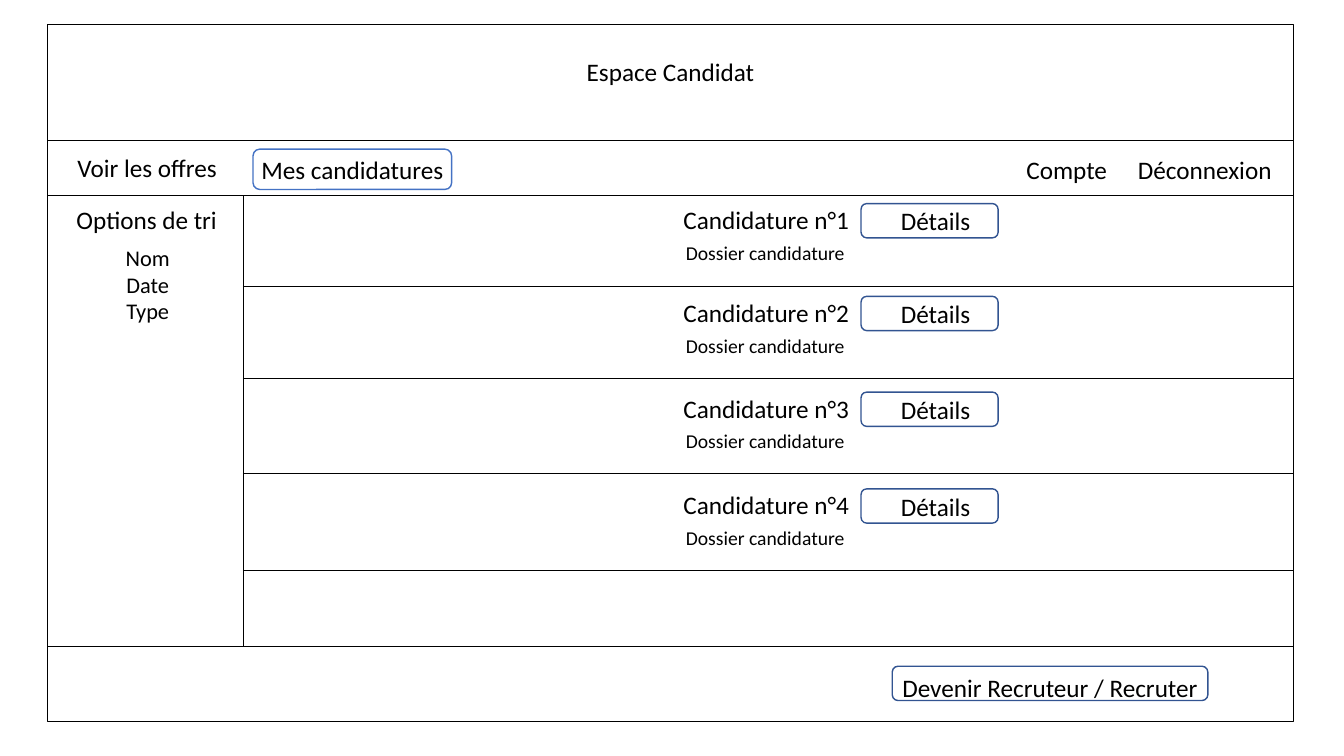
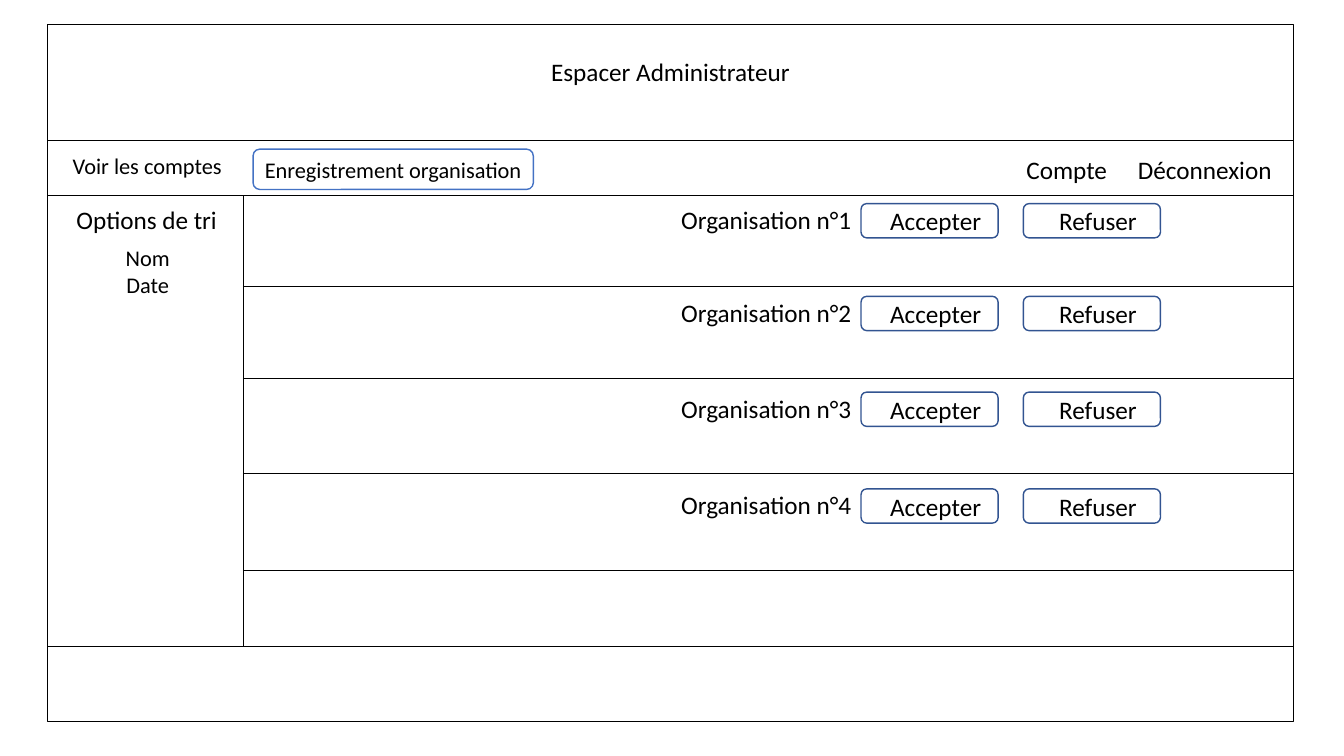
from lxml import etree
from pptx import Presentation
from pptx.dml.color import RGBColor
from pptx.enum.shapes import MSO_CONNECTOR, MSO_SHAPE
from pptx.enum.text import MSO_ANCHOR, MSO_AUTO_SIZE, PP_ALIGN
from pptx.oxml.ns import qn
from pptx.util import Inches, Pt

FONT = "Calibri"
BLACK, BLUE, NAVY = "000000", "4472C4", "325491"

# Page grid, in inches
LEFT, RIGHT, TOP, BOTTOM = 0.47, 12.83, 0.24, 7.16
MENU_Y, BODY_Y, FOOTER_Y, SIDEBAR_X = 1.39, 1.94, 6.41, 2.41
# Each row: top of its title, line that closes it
ROWS = [(1.98, 2.84), (2.9, 3.75), (3.85, 4.7), (4.81, 5.66)]
ACTION_XS = [8.54, 10.15]


def rgb(color):
    return RGBColor.from_string(color)


class Wireframe:
    def __init__(self):
        self.prs = Presentation()
        self.prs.slide_width = Inches(13.33)
        self.prs.slide_height = Inches(7.5)
        self.s = None

    def new_slide(self):
        self.s = self.prs.slides.add_slide(self.prs.slide_layouts[6])

    def fill_text(self, tf, lines, size):
        for i, line in enumerate(lines):
            p = tf.paragraphs[0] if i == 0 else tf.add_paragraph()
            p.alignment = PP_ALIGN.CENTER
            r = p.add_run()
            r.text = line
            r.font.name = FONT
            r.font.size = Pt(size)
            r.font.color.rgb = rgb(BLACK)

    def text(self, x, y, w, h, *lines, size=18):
        tf = self.s.shapes.add_textbox(
            Inches(x), Inches(y), Inches(w), Inches(h)).text_frame
        tf.word_wrap = True
        tf.auto_size = MSO_AUTO_SIZE.SHAPE_TO_FIT_TEXT
        self.fill_text(tf, lines, size)

    def box(self, x, y, w, h, color=BLACK, kind=MSO_SHAPE.RECTANGLE):
        sp = self.s.shapes.add_shape(
            kind, Inches(x), Inches(y), Inches(w), Inches(h))
        sp.shadow.inherit = False
        sp.fill.background()
        sp.line.color.rgb = rgb(color)
        sp.line.width = Pt(1)
        return sp

    def button(self, x, y, w, h, label, color=NAVY, size=18, shift_x=0, shift_y=0):
        """Rounded button; the shifts move its label right and down."""
        tf = self.box(x, y, w, h, color, MSO_SHAPE.ROUNDED_RECTANGLE).text_frame
        tf.word_wrap = True
        tf.vertical_anchor = MSO_ANCHOR.MIDDLE
        tf.margin_left, tf.margin_top = Inches(2 * shift_x), Inches(2 * shift_y)
        tf.margin_right = tf.margin_bottom = 0
        self.fill_text(tf, [label], size)

    def line(self, x1, y1, x2, y2):
        c = self.s.shapes.add_connector(
            MSO_CONNECTOR.STRAIGHT, Inches(x1), Inches(y1), Inches(x2), Inches(y2))
        c.line.color.rgb = rgb(BLACK)
        c.line.width = Pt(0.5)
        etree.SubElement(c._element.spPr, qn("a:effectLst"))

    def page(self, title, sort_options):
        """Frame, header, account menu and sorting sidebar."""
        self.new_slide()
        self.box(LEFT, TOP, RIGHT - LEFT, BOTTOM - TOP)
        for y in (MENU_Y, BODY_Y, FOOTER_Y):
            self.line(LEFT, y, RIGHT, y)
        self.line(SIDEBAR_X, BODY_Y, SIDEBAR_X, FOOTER_Y)
        self.text(4.16, 0.51, 4.98, 0.4, title)
        self.text(9.53, 1.48, 2.1, 0.4, "Compte")
        self.text(10.9, 1.48, 2.1, 0.4, "Déconnexion")
        self.text(0.26, 1.98, 2.39, 0.4, "Options de tri")
        self.text(0.27, 2.37, 2.39, 0.1 + 0.27 * len(sort_options),
                  *sort_options, size=16)

    def menu(self, link, active, active_w, link_size=18, active_size=18):
        self.text(0.41, 1.46, 2.1, 0.4, link, size=link_size)
        self.button(2.51, 1.48, active_w, 0.4, active, BLUE, active_size)

    def rows(self, name, actions, detail=None):
        for n, (top, end) in enumerate(ROWS, 1):
            self.text(6.06, top, 3.08, 0.4, f"{name} n°{n}")
            if detail:
                self.text(6.05, top + 0.36, 3.08, 0.34, detail, size=14)
            for x, label in zip(ACTION_XS, actions):
                self.button(x, top + 0.04, 1.36, 0.34, label, shift_x=0.06)
            self.line(SIDEBAR_X, end, RIGHT, end)


def main():
    w = Wireframe()

    # Candidate area
    w.page("Espace Candidat", ["Nom", "Date", "Type"])
    w.menu("Voir les offres", "Mes candidatures", 1.97)
    w.rows("Candidature", ["Détails"], "Dossier candidature")
    w.button(8.85, 6.61, 3.13, 0.34, "Devenir Recruteur / Recruter", shift_y=0.04)

    # Administrator area
    w.page("Espacer Administrateur", ["Nom", "Date"])
    w.menu("Voir les comptes", "Enregistrement organisation", 2.78, 16, 16)
    w.rows("Organisation", ["Accepter", "Refuser"])

    w.prs.save("out.pptx")


if __name__ == "__main__":
    main()
